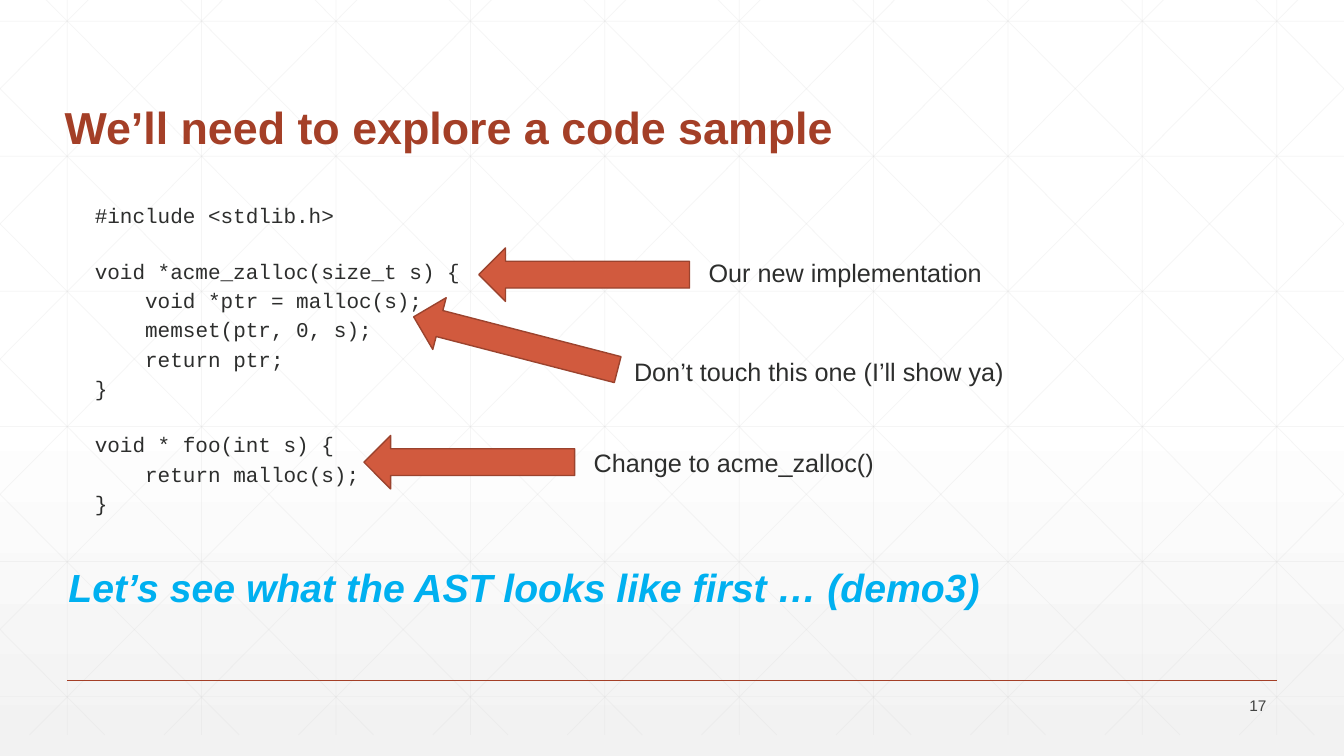
"""Build the code sample slide, with all places as percent of the slide's size."""
import pptx
import pptx.util
import pptx.dml.color
import pptx.enum.shapes
import pptx.enum.text
import pptx.oxml

HUES = {"title": "A43F27", "text": "2D2E2D", "grid": "D9D9D9", "arrow": "D15A3E",
        "edge": "9B432E", "demo": "00B0F0", "page": "424342",
        "top": "FFFFFF", "base": "F2F2F2"}
SPACE = 'xmlns:a="http://schemas.openxmlformats.org/drawingml/2006/main"'
ANCHOR = pptx.enum.text.MSO_ANCHOR
ALIGN = pptx.enum.text.PP_ALIGN

deck = pptx.Presentation()
deck.slide_width = pptx.util.Inches(13.333)
deck.slide_height = pptx.util.Inches(7.5)
wide, high = deck.slide_width / 100, deck.slide_height / 100
slide = deck.slides.add_slide(deck.slide_layouts[1])
shapes = slide.shapes
title, body = shapes.title, slide.placeholders[1]


def rule(x1, y1, x2, y2, hue, width, alpha=100):
    """Draw a straight line without shadow."""
    line = shapes.add_connector(
        pptx.enum.shapes.MSO_CONNECTOR.STRAIGHT,
        round(x1 * wide), round(y1 * high), round(x2 * wide), round(y2 * high))
    line.line.color.rgb = pptx.dml.color.RGBColor.from_string(HUES[hue])
    line.line.width = pptx.util.Pt(width)
    props = line._element.spPr
    props.append(pptx.oxml.parse_xml(f"<a:effectLst {SPACE}/>"))
    if alpha < 100:
        tint = props.find(".//{*}srgbClr")
        tint.append(pptx.oxml.parse_xml(f'<a:alpha {SPACE} val="{alpha * 1000}"/>'))


def write(part, words, hue, size, **form):
    """Put words in a paragraph and format them."""
    run = part.add_run()
    run.text = words
    look = {"name": "Arial", "size": pptx.util.Pt(size), **form}
    for key, value in look.items():
        setattr(run.font, key, value)
    run.font.color.rgb = pptx.dml.color.RGBColor.from_string(HUES[hue])


fill = slide.background.fill
fill.gradient()
fill.gradient_angle = 270
for stop, spot, hue in zip(fill.gradient_stops, (0.53, 1), ("top", "base")):
    stop.position = spot
    stop.color.rgb = pptx.dml.color.RGBColor.from_string(HUES[hue])

top, foot, span = -2.8, 97.2, 55.91
for col in range(10):
    x = 5 + 10 * col
    rule(x, top, x, foot, "grid", 0.5, 25)
for row in range(6):
    y = 2.8 + 17.87 * row
    rule(0, y, 100, y, "grid", 0.5, 25)
for step in range(-5, 10):
    x = 1.88 + 10 * step
    start, end = max(0, -x / span), min(1, (100 - x) / span)
    x1, x2 = x + span * start, x + span * end
    y1, y2 = top + 100 * start, top + 100 * end
    rule(x1, y1, x2, y2, "grid", 0.5, 25)
    rule(100 - x1, y1, 100 - x2, y2, "grid", 0.5, 25)
rule(5, 90, 95, 90, "title", 1)

holders = ((title, (4.05, 4.4, 78.77, 16.67), ANCHOR.BOTTOM),
           (body, (4.05, 25.73, 75.4, 55.6), ANCHOR.TOP))
for holder, (x, y, w, h), anchor in holders:
    place = {"left": x * wide, "top": y * high, "width": w * wide, "height": h * high}
    for key, value in place.items():
        setattr(holder, key, round(value))
    holder.text_frame.vertical_anchor = anchor
    holder.text_frame.auto_size = pptx.enum.text.MSO_AUTO_SIZE.NONE
    shapes._spTree.append(holder._element)

head = title.text_frame.paragraphs[0]
head.alignment = ALIGN.LEFT
head.line_spacing = 0.9
write(head, "We’ll need to explore a code sample", "title", 32, bold=True)

code = (("#include <stdlib.h>", 0, 3),
        ("void *acme_zalloc(size_t s) {", 0, 20.75),
        ("void *ptr = malloc(s);", 1, 1),
        ("memset(ptr, 0, s);", 1, 1),
        ("return ptr;", 1, 1),
        ("}", 0, 1),
        ("void * foo(int s) {", 0, 20.75),
        ("return malloc(s);", 1, 1),
        ("}", 0, 1))
for spot, (words, depth, gap) in enumerate(code):
    part = body.text_frame.add_paragraph() if spot else body.text_frame.paragraphs[0]
    part.line_spacing = 1.1
    part.space_before = pptx.util.Pt(gap)
    props = part._p.get_or_add_pPr()
    props.set("marL", str(pptx.util.Inches(0.3 + 0.5 * depth)))
    props.set("indent", "0")
    props.append(pptx.oxml.parse_xml(f"<a:buNone {SPACE}/>"))
    write(part, words, "text", 15, name="Courier New")

arrows = ((35.63, 32.8, 0), (27.08, 57.6, 0), (30.53, 41.87, 14.5))
for x, y, turn in arrows:
    arrow = shapes.add_shape(
        pptx.enum.shapes.MSO_SHAPE.LEFT_ARROW,
        round(x * wide), round(y * high), round(15.68 * wide), round(7.07 * high))
    arrow.rotation = turn
    arrow.shadow.inherit = False
    arrow.fill.solid()
    arrow.fill.fore_color.rgb = pptx.dml.color.RGBColor.from_string(HUES["arrow"])
    arrow.line.color.rgb = pptx.dml.color.RGBColor.from_string(HUES["edge"])
    arrow.line.width = pptx.util.Pt(1)

plain = {"hue": "text", "size": 18}
notes = (
    ("Our new implementation", (51.99, 33.33, 22.06, 5.33), plain),
    ("Don’t touch this one (I’ll show ya)", (46.44, 46.53, 29.26, 5.33), plain),
    ("Change to acme_zalloc()", (43.44, 58.53, 22.58, 5.33), plain),
    ("Let’s see what the AST looks like first … (demo3)", (4.35, 73.87, 84.17, 7.6),
     {"hue": "demo", "size": 28, "bold": True, "italic": True}),
    ("17", (87.47, 91.73, 7.5, 3.2), {"hue": "page", "size": 11}))
for words, (x, y, w, h), form in notes:
    box = shapes.add_textbox(
        round(x * wide), round(y * high), round(w * wide), round(h * high))
    frame = box.text_frame
    frame.word_wrap = form is not plain
    if form["hue"] == "page":
        frame.vertical_anchor = ANCHOR.MIDDLE
        frame.paragraphs[0].alignment = ALIGN.RIGHT
    write(frame.paragraphs[0], words, **form)

deck.save("out.pptx")
